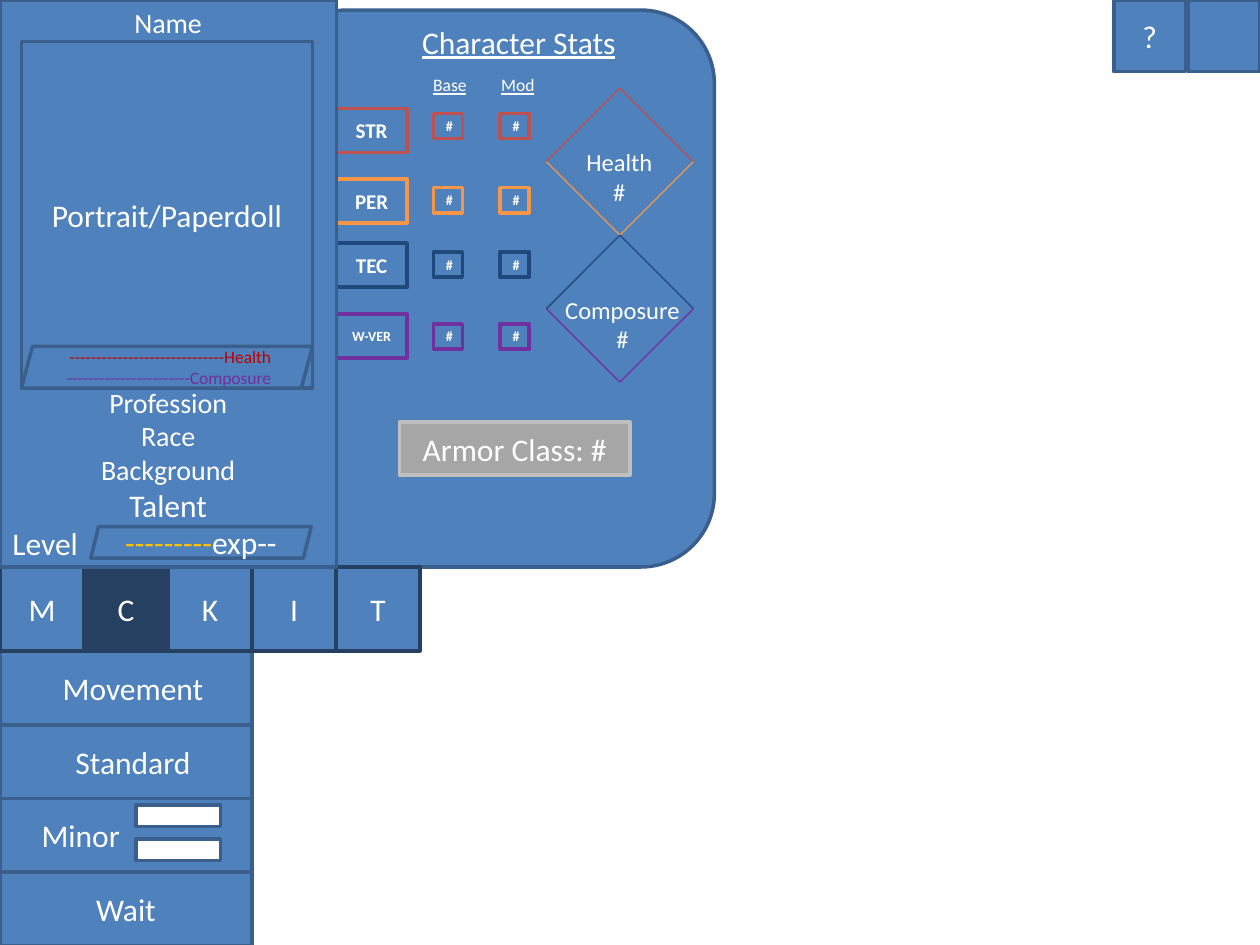
from lxml.etree import SubElement
from pptx import Presentation
from pptx.dml.color import RGBColor
from pptx.enum.shapes import MSO_CONNECTOR, MSO_SHAPE
from pptx.enum.text import MSO_ANCHOR, MSO_AUTO_SIZE, PP_ALIGN
from pptx.oxml.ns import qn
from pptx.util import Inches, Pt

COLORS = {
    "panel": "4F81BD", "edge": "3A5F8C", "dark": "254061", "white": "FFFFFF",
    "strength": "C0504D", "perception": "F79646", "tech": "1F497D", "will": "7030A0",
    "health_line": "BF4C48", "health": "C00000", "exp": "FFC000",
    "armor": "A6A6A6", "armor_edge": "BFBFBF",
}


def rgb(name):
    return RGBColor.from_string(COLORS[name])


class GameScreen:
    """Holds the text style and the current slide."""

    font_name = "Calibri"

    def __init__(self, slide):
        self.slide = slide

    def fill_text(self, shape, paragraphs, size=18, align=PP_ALIGN.CENTER, **style):
        """Fill a shape; a paragraph is a string or a list of (text, color) runs."""
        frame = shape.text_frame
        frame.word_wrap = True
        for index, runs in enumerate(paragraphs):
            paragraph = frame.paragraphs[0] if index == 0 else frame.add_paragraph()
            paragraph.alignment = align
            if isinstance(runs, str):
                runs = [(runs, "white")]
            for text, color in runs:
                run = paragraph.add_run()
                run.text = text
                run.font.color.rgb = rgb(color)
                values = {"name": self.font_name, "size": Pt(size), **style}
                for key, value in values.items():
                    setattr(run.font, key, value)
        return frame

    def box(self, at, paragraphs=(), fill="panel", line="edge",
            kind=MSO_SHAPE.RECTANGLE, **style):
        shape = self.slide.shapes.add_shape(kind, *map(Inches, at))
        shape.shadow.inherit = False
        shape.fill.solid()
        shape.fill.fore_color.rgb = rgb(fill)
        shape.line.color.rgb = rgb(line)
        shape.line.width = Pt(2)
        self.fill_text(shape, paragraphs, **style)
        return shape

    def label(self, at, paragraphs, **style):
        text_box = self.slide.shapes.add_textbox(*map(Inches, at))
        self.fill_text(text_box, paragraphs, **style)

    def title(self, at, text, **style):
        heading = self.slide.shapes.title
        heading.left, heading.top, heading.width, heading.height = map(Inches, at)
        frame = self.fill_text(heading, [text], **style)
        frame.vertical_anchor = MSO_ANCHOR.TOP
        frame.auto_size = MSO_AUTO_SIZE.NONE
        # Bring the heading in front of the panel drawn before it
        self.slide.shapes.element.append(heading.element)

    def line(self, start, end, color):
        connector = self.slide.shapes.add_connector(
            MSO_CONNECTOR.STRAIGHT, *map(Inches, (*start, *end)))
        connector.line.color.rgb = rgb(color)
        connector.line.width = Pt(0.75)
        SubElement(connector.element.spPr, qn("a:effectLst"))

    def diamond(self, center_x, top, radius, upper, lower):
        middle, bottom = top + radius, top + 2 * radius
        for side_x in (center_x - radius, center_x + radius):
            self.line((center_x, top), (side_x, middle), upper)
            self.line((side_x, middle), (center_x, bottom), lower)


def main():
    prs = Presentation()
    prs.slide_width, prs.slide_height = Inches(10), Inches(7.5)
    screen = GameScreen(prs.slides.add_slide(prs.slide_layouts[5]))

    # Character stats panel
    screen.box((2.17, 0.08, 3.5, 4.42), kind=MSO_SHAPE.ROUNDED_RECTANGLE)
    screen.title((3.25, 0.13, 2.41, 0.4), "Character Stats",
                 align=PP_ALIGN.LEFT, underline=True)
    stat_columns = {"Base": 3.34, "Mod": 3.88}
    for heading, left in stat_columns.items():
        screen.label((left, 0.54, 0.54, 0.27), [heading], size=10,
                     align=PP_ALIGN.LEFT, underline=True)

    # Stat rows: name, size, color, top of the name, top of the values
    stats = [
        ("STR", 12, "strength", 0.86, 0.9),
        ("PER", 12, "perception", 1.42, 1.49),
        ("TEC", 12, "tech", 1.93, 2),
        ("W-VER", 8, "will", 2.49, 2.57),
    ]
    for stat, size, color, name_top, value_top in stats:
        screen.box((2.67, name_top, 0.56, 0.35), [stat], line=color, size=size, bold=True)
        for left in (3.44, 3.97):
            screen.box((left, value_top, 0.23, 0.2), ["#"], line=color, size=8, bold=True)

    # Health and composure diamonds
    radius = 7 / 12
    screen.diamond(4.92, 0.7, radius, "health_line", "perception")
    screen.diamond(4.92, 0.7 + 2 * radius, radius, "tech", "will")
    screen.label((4.54, 1.12, 0.75, 0.57), ["Health", "#"], size=14)
    screen.label((4.38, 2.29, 1.12, 0.57), ["Composure", "#"], size=14)
    screen.box((3.17, 3.35, 1.83, 0.42), ["Armor Class: #"],
               fill="armor", line="armor_edge")

    # Corner buttons
    screen.box((9.43, 0, 0.57, 0.57))
    screen.box((8.84, 0, 0.57, 0.57), ["?"])

    # Action buttons, stacked from the bottom up; the indent shifts the caption
    button_height = 7 / 12
    actions = [("Movement", 0.11), ("Standard", 0.11), ("Minor", 0.23), ("Wait", 0)]
    for row, (action, indent) in reversed(list(enumerate(actions))):
        align = PP_ALIGN.LEFT if action == "Minor" else PP_ALIGN.CENTER
        button = screen.box((0, 5.17 + row * button_height, 2, button_height),
                            [action], align=align)
        button.text_frame.margin_left = Inches(0.1 + indent)
    for top in (6.39, 6.66):
        screen.box((1.08, top, 0.67, 0.17), fill="white")

    # Menu tabs, with the character tab selected
    tab_size = 2 / 3
    for column, tab in enumerate("MCKIT"):
        screen.box((column * tab_size, 4.5, tab_size, tab_size), [tab],
                   fill="dark" if tab == "C" else "panel", line="dark")

    # Character card
    card = screen.box((0, 0, 2.67, 4.5),
                      ["Name", "Profession", "Race", "Background", "Talent", "Level"],
                      size=16)
    name, profession, race, background, talent, level = card.text_frame.paragraphs
    profession.space_before = Pt(198)  # room for the portrait
    level.alignment = PP_ALIGN.LEFT
    for paragraph in (talent, level):
        paragraph.runs[0].font.size = Pt(18)

    # Experience bar, portrait and condition bars
    screen.box((0.72, 4.18, 1.75, 0.25), [[("-" * 9, "exp"), ("exp--", "white")]],
               kind=MSO_SHAPE.PARALLELOGRAM)
    screen.box((0.17, 0.33, 2.31, 2.75), ["Portrait/Paperdoll"])
    conditions = screen.box(
        (0.17, 2.75, 2.31, 0.33),
        [[("-" * 29 + "Health", "health")], [("-" * 23 + "Composure", "will")]],
        kind=MSO_SHAPE.PARALLELOGRAM, size=10, align=PP_ALIGN.RIGHT)
    conditions.adjustments[0] = 0.267

    prs.save("out.pptx")


if __name__ == "__main__":
    main()
